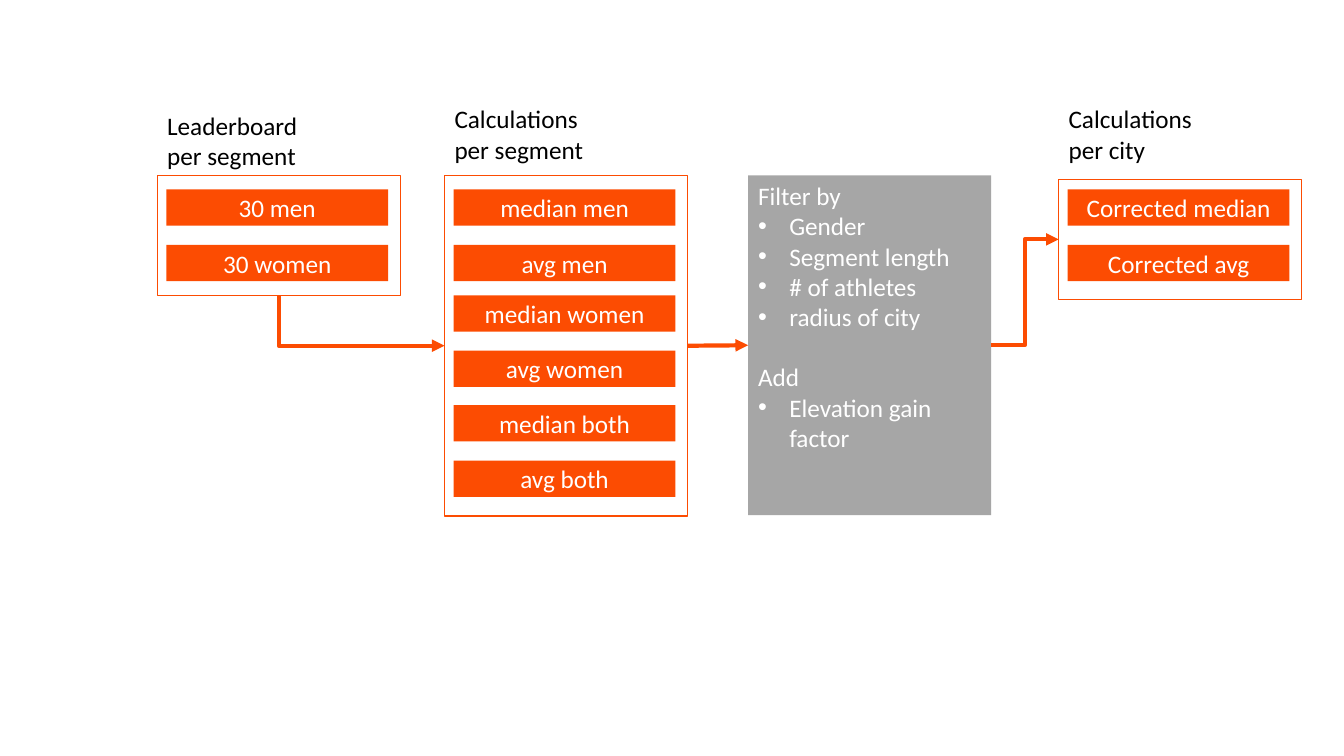
"""Draws the flow from segment leaderboards to city calculations."""
from typing import NamedTuple

from lxml.etree import SubElement
from pptx import Presentation
from pptx.dml.color import RGBColor
from pptx.enum.shapes import MSO_CONNECTOR as Conn, MSO_SHAPE as Form
from pptx.enum.text import MSO_ANCHOR as Anchor, MSO_AUTO_SIZE as Auto, PP_ALIGN as Align
from pptx.oxml import parse_xml
from pptx.oxml.ns import nsdecls, qn
from pptx.shapes.autoshape import Shape
from pptx.shapes.connector import Connector
from pptx.text.text import TextFrame
from pptx.util import Inches, Pt

ORANGE, GREY, WHITE, BLACK = "FC4C02", "A6A6A6", "FFFFFF", "000000"
COLS = (1.56, 4.41, 7.42, 10.5)
ROWS = (1.88, 2.43, 2.93, 3.48, 4.02, 4.57)
TOP, WIDE = 1.74, 2.41
BAR_W, BAR_H, PAD = 2.2, 0.36, 0.09
HEAD_W, HEAD_H = 1.73, 0.71
STEP = 0.31
LEFT, BOTTOM, RIGHT = 1, 2, 3


class Group(NamedTuple):
    col: int
    head: tuple[str, str]
    head_top: float
    top: float
    high: float
    bars: tuple[str, ...]


class Item(NamedTuple):
    text: str
    dot: bool = True
    gap: float = 0


GROUPS = (
    Group(0, ("Leaderboard", "per segment"), 1.04, TOP, 1.19, ("30 men", "30 women")),
    Group(1, ("Calculations", "per segment"), 0.98, TOP, 3.38,
          ("median men", "avg men", "median women", "avg women", "median both", "avg both")),
    Group(3, ("Calculations", "per city"), 0.98, 1.78, 1.19,
          ("Corrected median", "Corrected avg")),
)
FILTER = (
    Item("Filter by", False), Item("Gender"), Item("Segment length"),
    Item("# of athletes"), Item("radius of city"),
    Item("Add", False, 21.6), Item("Elevation gain factor"),
)


def rgb(code: str) -> RGBColor:
    return RGBColor.from_string(code)


def write(frame: TextFrame, items: tuple[Item, ...], ink: str, align: Align = Align.LEFT) -> None:
    frame.word_wrap = True
    for n, item in enumerate(items):
        para = frame.add_paragraph() if n else frame.paragraphs[0]
        para.text, para.alignment = item.text, align
        para.font.name, para.font.size = "Calibri", Pt(18)
        para.font.color.rgb = rgb(ink)
        if item.gap:
            para.space_before = Pt(item.gap)
        if item.dot:
            props = para._p.get_or_add_pPr()
            props.set("marL", str(Inches(STEP)))
            props.set("indent", str(-Inches(STEP)))
            props.insert(0, parse_xml(f'<a:buFont {nsdecls("a")} typeface="Arial"/>'))
            props.insert(1, parse_xml(f'<a:buChar {nsdecls("a")} char="•"/>'))


def box(x: float, y: float, w: float, h: float, fill: str = "", line: str = "") -> Shape:
    shape = slide.shapes.add_shape(Form.RECTANGLE, *map(Inches, (x, y, w, h)))
    shape.shadow.inherit = False
    if fill:
        shape.fill.solid()
        shape.fill.fore_color.rgb = rgb(fill)
    else:
        shape.fill.background()
    if line:
        shape.line.color.rgb, shape.line.width = rgb(line), Pt(1)
    else:
        shape.line.fill.background()
    return shape


def draw(group: Group) -> Shape:
    x = COLS[group.col]
    frame = box(x, group.top, WIDE, group.high, line=ORANGE)
    for y, name in zip(ROWS, group.bars):
        bar = box(x + PAD, y, BAR_W, BAR_H, ORANGE)
        bar.text_frame.vertical_anchor = Anchor.MIDDLE
        write(bar.text_frame, (Item(name, False),), WHITE, Align.CENTER)
    head = slide.shapes.add_textbox(*map(Inches, (x, group.head_top, HEAD_W, HEAD_H)))
    write(head.text_frame, tuple(Item(t, False) for t in group.head), BLACK)
    head.text_frame.auto_size = Auto.SHAPE_TO_FIT_TEXT
    return frame


def link(start: Shape, side: int, end: Shape, kind: Conn) -> Connector:
    line = slide.shapes.add_connector(kind, 0, 0, 0, 0)
    line.begin_connect(start, side)
    line.end_connect(end, LEFT)
    line.line.color.rgb, line.line.width = rgb(ORANGE), Pt(3)
    props = line.element.spPr
    SubElement(props.find(qn("a:ln")), qn("a:tailEnd"), type="triangle")
    SubElement(props, qn("a:effectLst"))
    return line


def corner(line: Connector) -> None:
    wide, high = line.width, line.height
    shift = (wide - high) // 2
    line.left, line.top = line.left + shift, line.top - shift
    line.width, line.height = high, wide
    props = line.element.spPr
    form = props.find(qn("a:xfrm"))
    form.set("rot", str(270 * 60000))
    form.set("flipH", "1")
    props.find(qn("a:prstGeom")).set("prst", "bentConnector2")


deck = Presentation()
deck.slide_width, deck.slide_height = Inches(13.33), Inches(7.5)
slide = deck.slides.add_slide(deck.slide_layouts[6])

board, calc, city = map(draw, GROUPS)
sieve = box(COLS[2], TOP, WIDE, 3.37, GREY)
sieve.text_frame.vertical_anchor = Anchor.TOP
write(sieve.text_frame, FILTER, WHITE)

corner(link(board, BOTTOM, calc, Conn.ELBOW))
link(calc, RIGHT, sieve, Conn.STRAIGHT)
link(sieve, RIGHT, city, Conn.ELBOW)

deck.save("out.pptx")
